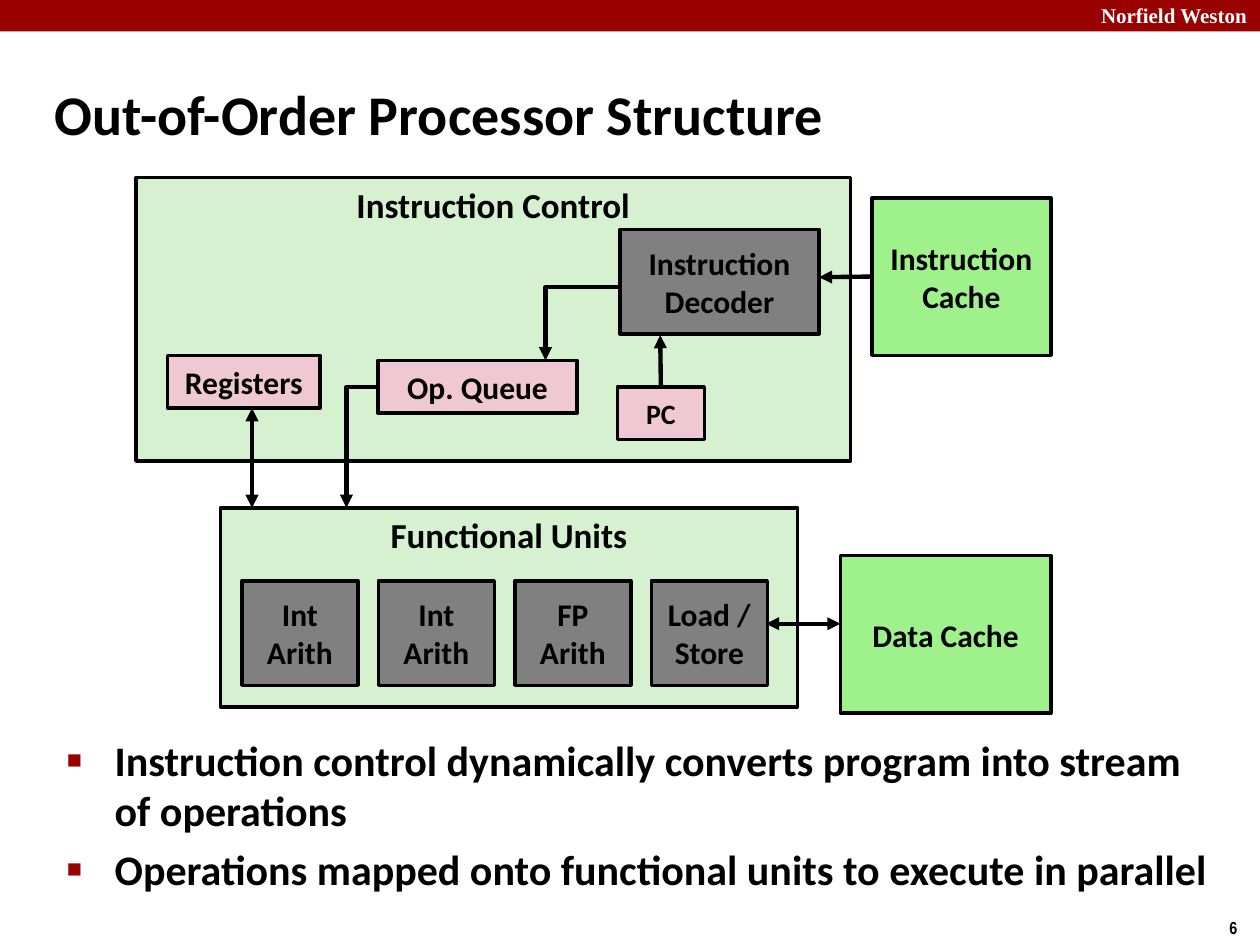
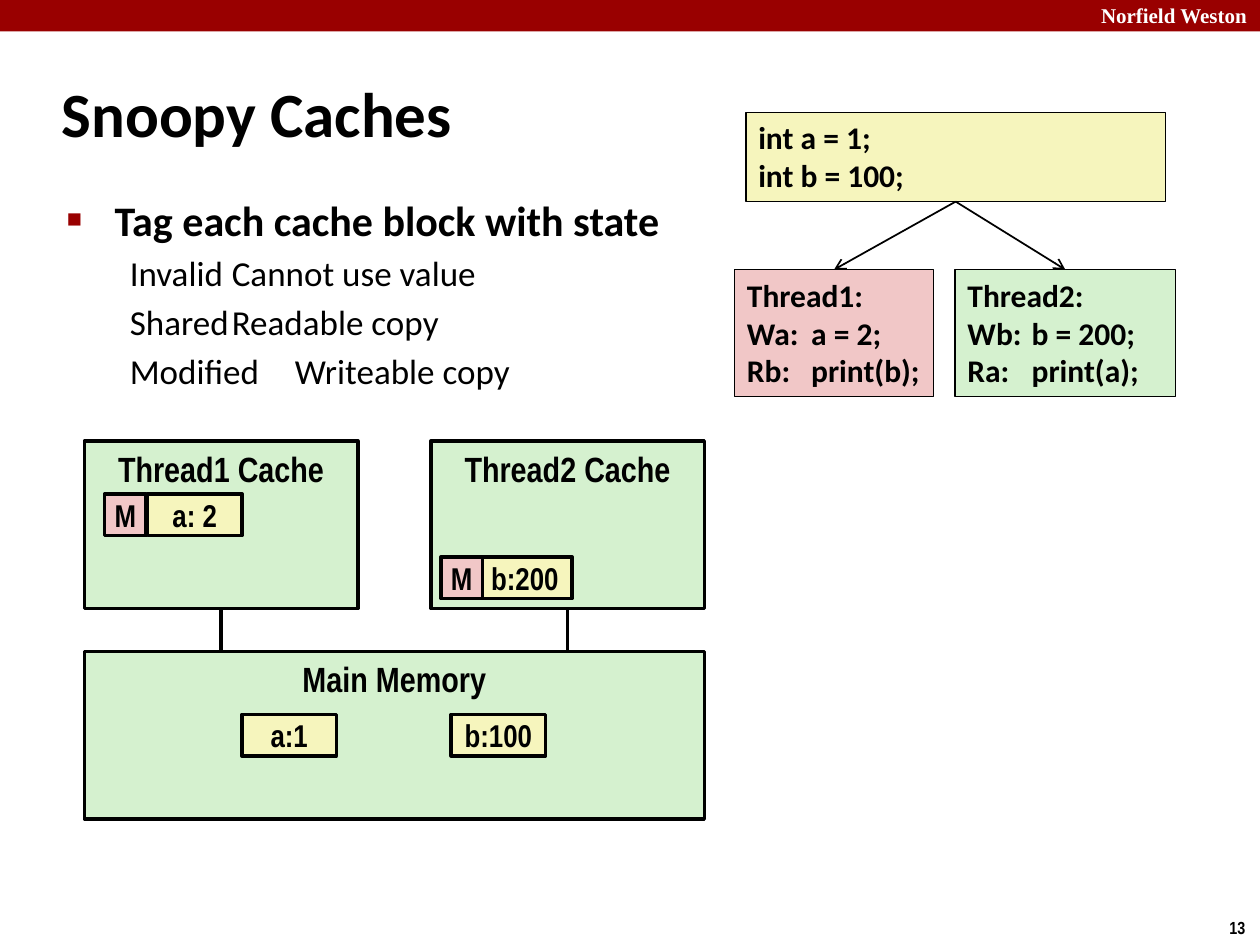
from lxml import etree
from pptx import Presentation
from pptx import util as u
from pptx.dml.color import RGBColor
from pptx.enum import shapes, text
from pptx.oxml.ns import qn

BLACK, WHITE, RED = "000000", "FFFFFF", "990000"
PALE_GREEN, GREEN, GRAY = "D5F1CF", "9EF18B", "808080"
PINK, ROSE, YELLOW = "F0C8D3", "F1C7C7", "F6F5BD"
SANS, NARROW, SERIF = "Calibri", "Arial Narrow", "Times New Roman"
LEFT, CENTER = text.PP_ALIGN.LEFT, text.PP_ALIGN.CENTER
TOP, MIDDLE = text.MSO_ANCHOR.TOP, text.MSO_ANCHOR.MIDDLE


def rgb(value):
    return RGBColor.from_string(value)


def sub(parent, tag, **attrs):
    return etree.SubElement(parent, qn(tag), {k: str(v) for k, v in attrs.items()})


def inches(*values):
    return [u.Inches(v) for v in values]


class Deck:
    def __init__(self):
        self.prs = Presentation()
        self.prs.slide_width, self.prs.slide_height = inches(10, 7.5)
        self.s = None

    def slide(self, number, title, left, width, size):
        self.s = self.prs.slides.add_slide(self.prs.slide_layouts[1])
        band = self.box("", 0, 0, 10, 0.25, RED)
        band.line.fill.background()
        self.label("Norfield Weston", 8.64, -0.03, 1.43, 0.3, SERIF, 12, WHITE)
        self.label(str(number), 9.66, 7.23, 0.34, 0.27, NARROW, 10, BLACK, wrap=False)
        sp = self.place(self.s.shapes.title, left, 0.48, width, 0.83)
        self.fill_text(sp.text_frame, title, size=size, anchor=MIDDLE)
        self.indent(sp.text_frame.paragraphs[0], 0.13, -0.13)

    def place(self, sp, *at):
        for name, value in zip(("left", "top", "width", "height"), inches(*at)):
            setattr(sp, name, value)
        return sp

    def style(self, r, **values):
        for name, value in values.items():
            setattr(r.font, name, value)
        return r

    def fill_text(self, tf, words, font=SANS, size=18, color=BLACK, bold=True,
                  align=LEFT, anchor=TOP, wrap=True):
        frame = {"word_wrap": wrap, "vertical_anchor": anchor,
                 "auto_size": text.MSO_AUTO_SIZE.NONE}
        for name, value in frame.items():
            setattr(tf, name, value)
        for i, line in enumerate(words.split("\n")):
            p = tf.add_paragraph() if i else tf.paragraphs[0]
            p.alignment = align
            r = p.add_run()
            r.text = line
            self.style(r, name=font, size=u.Pt(size), bold=bold)
            r.font.color.rgb = rgb(color)

    def indent(self, p, margin, first):
        pPr = p._p.get_or_add_pPr()
        pPr.set("marL", str(u.Inches(margin)))
        pPr.set("indent", str(u.Inches(first)))
        return pPr

    def tab(self, p, pos):
        tabs = sub(p._p.get_or_add_pPr(), "a:tabLst")
        sub(tabs, "a:tab", pos=u.Inches(pos), algn="l")

    def label(self, words, x, y, w, h, font, size, color, wrap=True):
        sp = self.s.shapes.add_textbox(*inches(x, y, w, h))
        self.fill_text(sp.text_frame, words, font, size, color, wrap=wrap)

    def body(self, at, bullets, details=()):
        sp = self.place(self.s.placeholders[1], *at)
        tf = sp.text_frame
        self.fill_text(tf, "\n".join([*bullets, *details]), size=24)
        for p in tf.paragraphs[:len(bullets)]:
            pPr = self.indent(p, 0.38, -0.38)
            sub(sub(pPr, "a:buClr"), "a:srgbClr", val=RED)
            sub(pPr, "a:buSzPct", val=60000)
            sub(pPr, "a:buChar", char="■")
        for p in tf.paragraphs[len(bullets):]:
            p.level = 1
            sub(self.indent(p, 0.81, -0.31), "a:buNone")
            self.tab(p, 1)
            self.style(p.runs[0], size=u.Pt(20), bold=False)

    def box(self, words, x, y, w, h, fill, line=2, **fmt):
        sp = self.s.shapes.add_shape(shapes.MSO_SHAPE.RECTANGLE, *inches(x, y, w, h))
        sp.shadow.inherit = False
        sp.fill.solid()
        sp.fill.fore_color.rgb = rgb(fill)
        sp.line.color.rgb = rgb(BLACK)
        sp.line.width = u.Pt(line)
        if words:
            self.fill_text(sp.text_frame, words, **{"align": CENTER, "anchor": MIDDLE, **fmt})
        return sp

    def panel(self, words, x, y, w, h, font=SANS):
        return self.box(words, x, y, w, h, PALE_GREEN, font=font, size=20, anchor=TOP)

    def cell(self, words, x, y, w=0.75, fill=YELLOW):
        return self.box(words, x, y, w, 0.33, fill, font=NARROW, wrap=False)

    def code(self, words, x, y, w, h, fill, tab=None):
        sp = self.box(words, x, y, w, h, fill, line=0.75, align=LEFT, anchor=TOP)
        if tab:
            for p in sp.text_frame.paragraphs:
                self.tab(p, tab)
        return sp

    def link(self, start, end, width=2.5, head=None, tail=None,
             begin=None, finish=None, bent=False):
        kind = shapes.MSO_CONNECTOR.ELBOW if bent else shapes.MSO_CONNECTOR.STRAIGHT
        c = self.s.shapes.add_connector(kind, *inches(*start, *end))
        if begin:
            c.begin_connect(*begin)
        if finish:
            c.end_connect(*finish)
        c.line.color.rgb = rgb(BLACK)
        c.line.width = u.Pt(width)
        spPr = c._element.spPr
        if bent:
            spPr.find(qn("a:prstGeom")).set("prst", "bentConnector2")
        ln = spPr.find(qn("a:ln"))
        for tag, arrow in (("a:headEnd", head), ("a:tailEnd", tail)):
            if arrow:
                sub(ln, tag, type=arrow)
        sub(spPr, "a:effectLst")


def processor_structure(d):
    d.slide(6, "Out-of-Order Processor Structure", 0.33, 9.67, 32)
    d.body((0.43, 5.78, 9.32, 1.34), [
        "Instruction control dynamically converts program into stream of operations",
        "Operations mapped onto functional units to execute in parallel"])
    d.panel("Functional Units", 1.75, 4.03, 4.58, 1.58)
    for i, unit in enumerate(("Int\nArith", "Int\nArith", "FP\nArith", "Load /\nStore")):
        d.box(unit, 1.92 + i * 3.25 / 3, 4.61, 0.92, 0.83, GRAY)
    d.panel("Instruction Control", 1.08, 1.41, 5.67, 2.25)
    d.box("Registers", 1.33, 2.82, 1.21, 0.42, PINK)
    d.box("Instruction Decoder", 4.92, 1.82, 1.58, 0.83, GRAY)
    d.box("Op. Queue", 3, 2.86, 1.58, 0.42, PINK)
    d.box("Data Cache", 6.67, 4.41, 1.67, 1.25, GREEN)
    instruction_cache = d.box("Instruction\nCache", 6.92, 1.57, 1.42, 1.25, GREEN)
    pc = d.box("PC", 4.9, 3.07, 0.69, 0.42, PINK, size=16)
    arrow = "triangle"
    d.link((6.67, 4.95), (6.08, 4.95), head=arrow, tail=arrow)
    d.link((6.5, 2.2), (6.92, 2.2), head=arrow, finish=(instruction_cache, 1))
    d.link((3, 3.07), (2.75, 4.03), tail=arrow, bent=True)
    d.link((2, 3.24), (2, 4.03), head=arrow, tail=arrow)
    d.link((4.92, 2.28), (4.33, 2.86), tail=arrow, bent=True)
    d.link((5.24, 2.66), (5.24, 3.07), head=arrow, finish=(pc, 0))


def snoopy_caches(d):
    d.slide(13, "Snoopy Caches", 0.39, 8.3, 36)
    d.body((0.43, 1.49, 8.64, 0.68), ["Tag each cache block with state"], [
        "Invalid\tCannot use value",
        "Shared\tReadable copy",
        "Modified\tWriteable copy"])
    d.panel("Main Memory", 0.67, 5.17, 4.92, 1.33, NARROW)
    d.cell("a:1", 1.92, 5.67)
    d.cell("b:100", 3.58, 5.67)
    caches = (("Thread1 Cache", 0.67, "a: 2", 1.17, 0.83, 3.92),
              ("Thread2 Cache", 3.42, "b:200", 3.79, 3.5, 4.42))
    for name, x, value, value_x, state_x, y in caches:
        cache = d.panel(name, x, 3.5, 2.17, 1.33, NARROW)
        middle = x + 2.17 / 2
        d.link((middle, 5.17), (middle, 4.83), width=2, finish=(cache, 2))
        d.cell(value, value_x, y)
        d.cell("M", state_x, y, 0.33, ROSE)
    globals_box = d.code("int a = 1;\nint b = 100;", 5.92, 0.89, 3.33, 0.71, YELLOW)
    threads = (("Thread1:\nWa:\ta = 2;\nRb: \tprint(b);", 5.83, 1.58, ROSE),
               ("Thread2:\nWb:\tb = 200;\nRa:\tprint(a);", 7.58, 1.75, PALE_GREEN))
    for words, x, w, fill in threads:
        thread = d.code(words, x, 2.14, w, 1.01, fill, tab=0.51)
        d.link((7.58, 1.6), (x + w / 2, 2.14), width=1, tail="arrow",
               begin=(globals_box, 2), finish=(thread, 0))


def main():
    d = Deck()
    processor_structure(d)
    snoopy_caches(d)
    d.prs.save("out.pptx")


if __name__ == "__main__":
    main()
